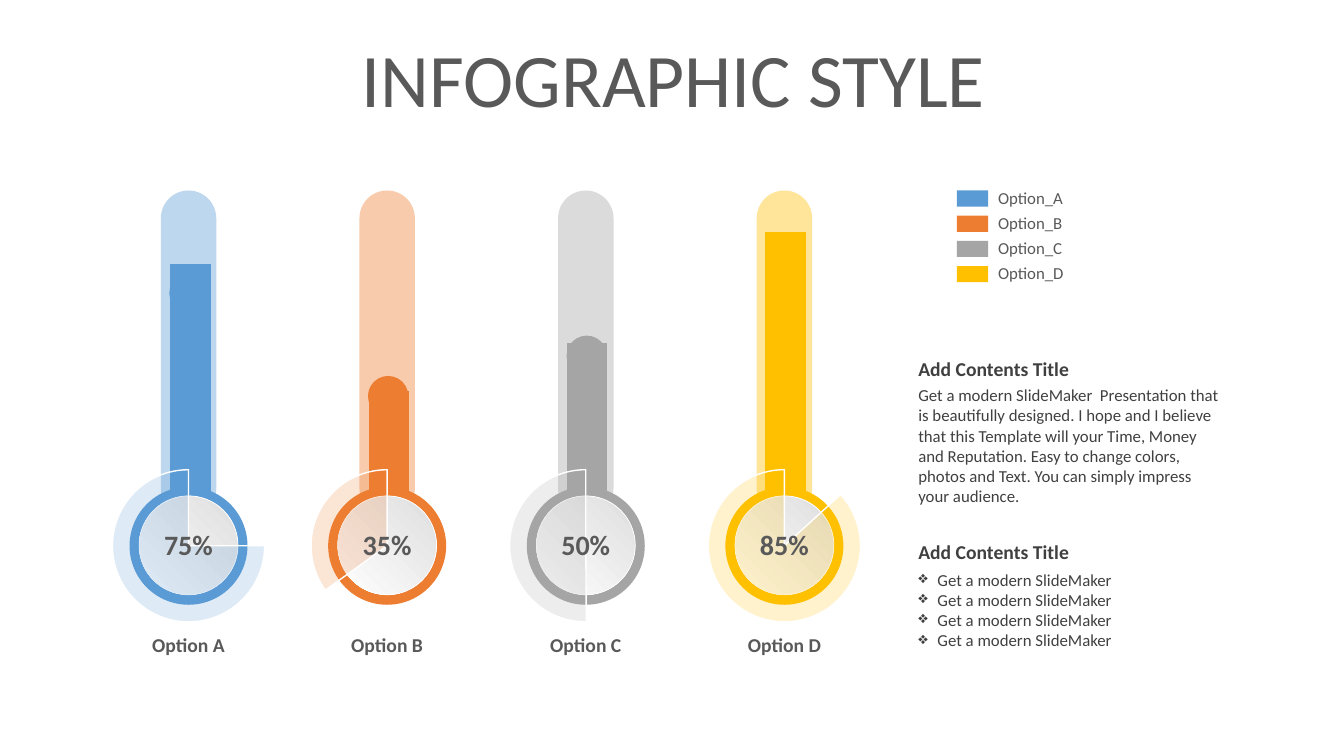
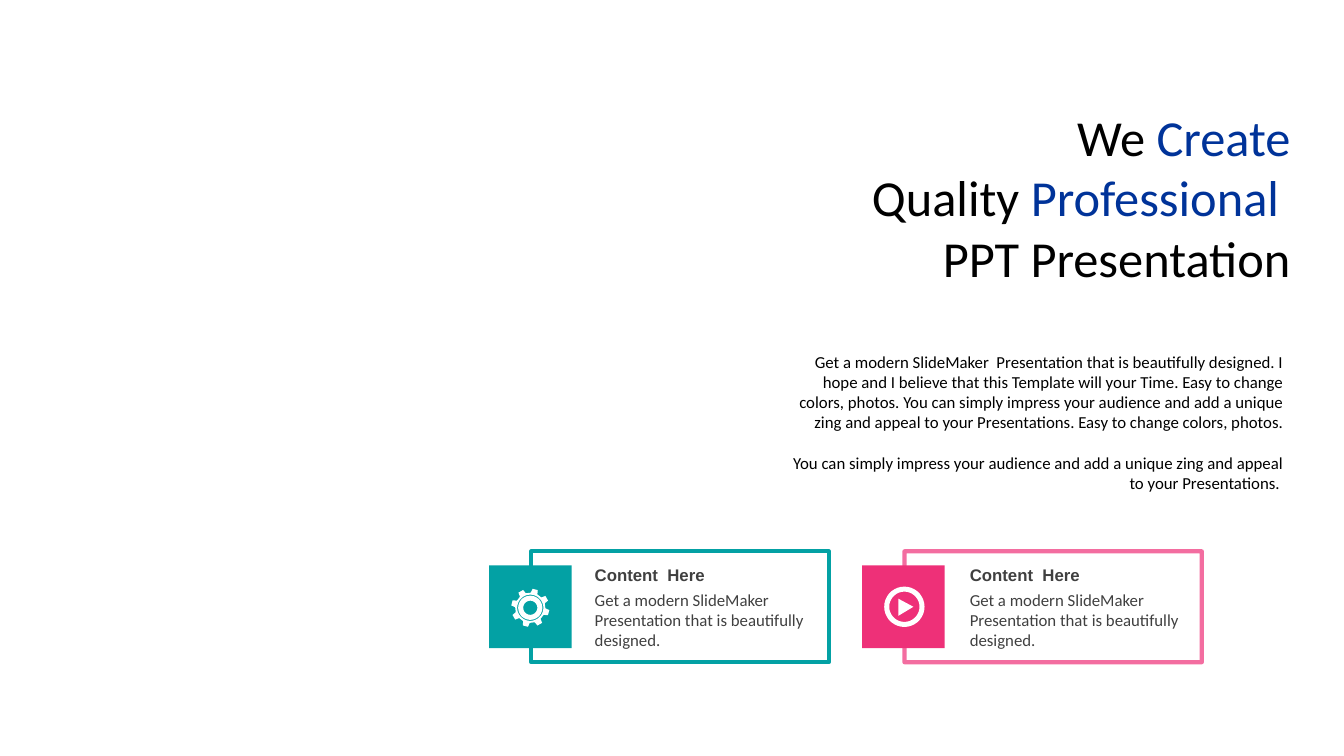
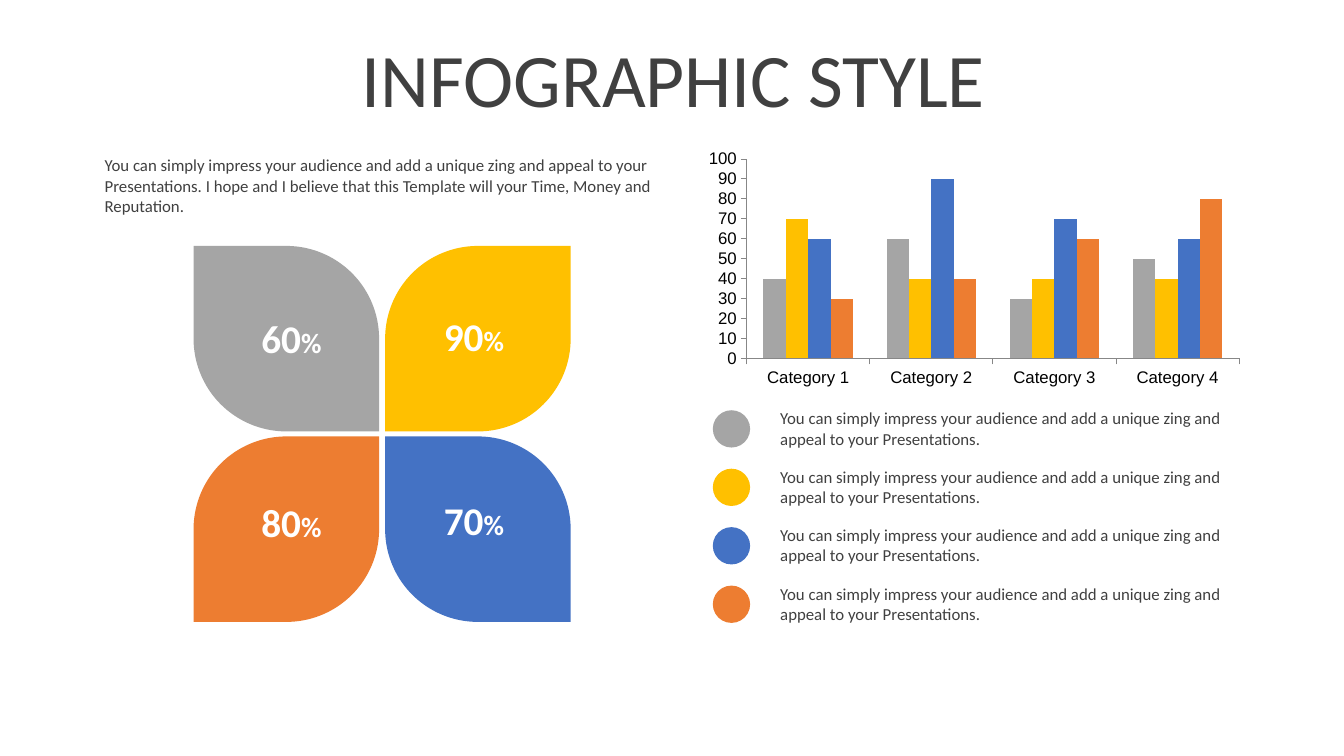
from dataclasses import dataclass
from math import cos, radians, sin
from typing import NamedTuple, Optional, Sequence, Union

from lxml.etree import SubElement
from pptx import Presentation
from pptx.chart.chart import Chart
from pptx.chart.data import CategoryChartData
from pptx.dml.color import RGBColor
from pptx.enum.chart import XL_CHART_TYPE as ChartType, XL_TICK_MARK as TickMark
from pptx.enum.shapes import MSO_SHAPE as Preset
from pptx.enum.text import MSO_ANCHOR as Anchor, PP_ALIGN as Align
from pptx.oxml.ns import qn
from pptx.shapes.autoshape import Shape
from pptx.slide import Slide
from pptx.text.text import TextFrame
from pptx.util import Inches, Pt

# Shared look
WHITE = RGBColor(0xFF, 0xFF, 0xFF)
BLACK = RGBColor(0x00, 0x00, 0x00)
SILVER = RGBColor(0xDE, 0xDE, 0xDE)
AXIS_GRAY = RGBColor(0x87, 0x87, 0x87)
SLATE = RGBColor(0x59, 0x59, 0x59)
CHARCOAL = RGBColor(0x40, 0x40, 0x40)
SKY = RGBColor(0x5B, 0x9B, 0xD5)
ORANGE = RGBColor(0xED, 0x7D, 0x31)
GRAY = RGBColor(0xA5, 0xA5, 0xA5)
YELLOW = RGBColor(0xFF, 0xC0, 0x00)
BLUE = RGBColor(0x44, 0x72, 0xC4)
NAVY = RGBColor(0x00, 0x33, 0x99)
TEAL = RGBColor(0x03, 0xA1, 0xA4)
PINK = RGBColor(0xEE, 0x30, 0x78)
BODY_FONT = "Calibri"
LABEL_FONT = "Arial"

Point = tuple[float, float]


class Box(NamedTuple):
    left: float
    top: float
    width: float
    height: float

    def emu(self) -> tuple[int, ...]:
        return tuple(Inches(v) for v in self)


class Span(NamedTuple):
    text: str
    color: Optional[RGBColor] = None
    size: Optional[float] = None


def centred(x: float, top: float, width: float, height: float) -> Box:
    return Box(x - width / 2, top, width, height)


# Drawing helpers
def set_alpha(shape: Shape, percent: int) -> None:
    """Make the first colour of the shape (fill, or line if unfilled) translucent."""
    color = shape._element.spPr.find(".//" + qn("a:srgbClr"))
    SubElement(color, qn("a:alpha"), val=str(percent * 1000))


def add_preset(slide: Slide, preset: Preset, box: Box, fill: Optional[RGBColor] = None,
               line: Optional[RGBColor] = None, line_width: float = 1,
               alpha: Optional[int] = None, adjust: Sequence[float] = ()) -> Shape:
    shape = slide.shapes.add_shape(preset, *box.emu())
    shape.shadow.inherit = False
    for i, value in enumerate(adjust):
        shape.adjustments[i] = value
    if fill is None:
        shape.fill.background()
    else:
        shape.fill.solid()
        shape.fill.fore_color.rgb = fill
    if line is None:
        shape.line.fill.background()
    else:
        shape.line.color.rgb = line
        shape.line.width = Pt(line_width)
    if alpha is not None:
        set_alpha(shape, alpha)
    return shape


def add_text(slide: Slide, box: Box, paragraphs: Sequence[Union[str, Sequence[Span]]],
             size: float = 12, color: Optional[RGBColor] = CHARCOAL, bold: bool = False,
             align: Align = Align.LEFT, anchor: Anchor = Anchor.TOP,
             font: str = BODY_FONT) -> TextFrame:
    frame = slide.shapes.add_textbox(*box.emu()).text_frame
    frame.word_wrap = True
    frame.vertical_anchor = anchor
    for i, content in enumerate(paragraphs):
        paragraph = frame.paragraphs[0] if i == 0 else frame.add_paragraph()
        paragraph.alignment = align
        paragraph.font.name = font
        paragraph.font.size = Pt(size)
        paragraph.font.bold = bold
        if color is not None:
            paragraph.font.color.rgb = color
        for span in [Span(content)] if isinstance(content, str) else content:
            run = paragraph.add_run()
            run.text = span.text
            if span.color is not None:
                run.font.color.rgb = span.color
            if span.size is not None:
                run.font.size = Pt(span.size)
    return frame


def add_title(slide: Slide, color: RGBColor) -> None:
    add_text(slide, Box(0.35, 0.37, 12.66, 0.79), ["INFOGRAPHIC STYLE"], 54, color,
             align=Align.CENTER, anchor=Anchor.MIDDLE)


def add_bullets(frame: TextFrame, char: str, indent: float) -> None:
    for paragraph in frame.paragraphs:
        props = paragraph._p.get_or_add_pPr()
        props.set("marL", str(Inches(indent)))
        props.set("indent", str(-Inches(indent)))
        bullet = props.makeelement(qn("a:buChar"), {"char": char})
        props.insert(0, bullet)


def add_columns(slide: Slide, box: Box, kind: ChartType, categories: Sequence[str],
                series: Sequence[Sequence[float]], colors: Sequence[RGBColor],
                gap: int, overlap: int, maximum: float) -> Chart:
    data = CategoryChartData()
    data.categories = categories
    for i, values in enumerate(series, 1):
        data.add_series(f"Series {i}", values)
    chart = slide.shapes.add_chart(kind, *box.emu(), data).chart
    chart.has_title = chart.has_legend = False
    chart.font.name, chart.font.size = BODY_FONT, Pt(18)
    chart.font.color.rgb = BLACK
    plot = chart.plots[0]
    plot.gap_width, plot.overlap, plot.vary_by_categories = gap, overlap, False
    for column, color in zip(plot.series, colors):
        column.format.fill.solid()
        column.format.fill.fore_color.rgb = color
    values_axis = chart.value_axis
    values_axis.has_major_gridlines = False
    values_axis.minimum_scale, values_axis.maximum_scale = 0, maximum
    return chart


# Icons
def circle(centre: Point, radius: float, steps: int = 36) -> list[Point]:
    return [polar(centre, radius, 360 * i / steps) for i in range(steps)]


def polar(centre: Point, radius: float, degrees: float) -> Point:
    angle = radians(degrees)
    return centre[0] + radius * cos(angle), centre[1] + radius * sin(angle)


def gear_icon(centre: Point) -> list[list[Point]]:
    tooth = ((-13, 0.15), (-8, 0.19), (8, 0.19), (13, 0.15))
    outline = [polar(centre, radius, -75 + 45 * i + offset)
               for i in range(8) for offset, radius in tooth]
    return [outline] + [circle(centre, r) for r in (0.13, 0.12, 0.07)]


def play_icon(centre: Point) -> list[list[Point]]:
    x, y = centre
    triangle = [(x - 0.06, y - 0.08), (x + 0.09, y), (x - 0.06, y + 0.09)]
    return [circle(centre, 0.2), circle(centre, 0.15), triangle]


def add_icon(slide: Slide, contours: Sequence[Sequence[Point]]) -> None:
    outlines = [[(Inches(x), Inches(y)) for x, y in contour] for contour in contours]
    builder = slide.shapes.build_freeform(*outlines[0][0])
    for i, (start, *rest) in enumerate(outlines):
        if i:
            builder.move_to(*start)
        builder.add_line_segments(rest, close=True)
    icon = builder.convert_to_shape()
    icon.shadow.inherit = False
    icon.fill.solid()
    icon.fill.fore_color.rgb = WHITE
    icon.line.fill.background()


# Slide 1: thermometers
@dataclass(frozen=True)
class Gauge:
    letter: str
    color: RGBColor
    level: int
    percent: str
    tip_top: float
    sector_start: float


GAUGES = (
    Gauge("A", SKY, 88, "75%", 2.71, 0),
    Gauge("B", ORANGE, 41, "35%", 3.73, 144.35),
    Gauge("C", GRAY, 59, "50%", 3.33, 89.6),
    Gauge("D", YELLOW, 100, "85%", 2.46, 317.65),
)


def add_dial(slide: Slide, gauge: Gauge, x: float) -> None:
    add_preset(slide, Preset.OVAL, centred(x, 4.83, 1.17, 1.17), gauge.color)
    face = add_preset(slide, Preset.OVAL, centred(x, 4.92, 0.98, 0.98), WHITE, WHITE, 0.5)
    face.fill.gradient()
    face.fill.gradient_angle = 225
    for stop, color in zip(face.fill.gradient_stops, (SILVER, WHITE)):
        stop.color.rgb = color
    # One adjustment unit is 100000/60000 of a degree
    add_preset(slide, Preset.PIE, centred(x, 4.66, 1.51, 1.51), gauge.color, WHITE, 1, 20,
               (gauge.sector_start * 0.6, 270 * 0.6))
    for top, width, height, label, size in ((5.18, 1.17, 0.44, gauge.percent, 20),
                                            (6.23, 1.34, 0.34, f"Option {gauge.letter}", 14)):
        add_text(slide, centred(x, top, width, height), [label], size, SLATE, True,
                 Align.CENTER)
    add_preset(slide, Preset.OVAL, centred(x + 0.01, gauge.tip_top, 0.4, 0.4), gauge.color)


def build_thermometers(slide: Slide) -> None:
    add_title(slide, SLATE)
    centres = [1.87 + 1.97 * i for i in range(len(GAUGES))]
    for gauge, x in zip(GAUGES, centres):
        add_preset(slide, Preset.ROUNDED_RECTANGLE, centred(x, 1.89, 0.55, 3.23),
                   gauge.color, alpha=40, adjust=(0.5,))

    # Mercury levels
    chart = add_columns(slide, Box(0.74, 2.08, 8.2, 2.96), ChartType.COLUMN_STACKED,
                        [str(i) for i in range(1, 5)], [[g.level for g in GAUGES]],
                        [SKY], 392, 100, 106)
    chart.category_axis.visible = chart.value_axis.visible = False
    for i, gauge in enumerate(GAUGES):
        fill = chart.plots[0].series[0].points[i].format.fill
        fill.solid()
        fill.fore_color.rgb = gauge.color

    for i, (gauge, x) in enumerate(zip(GAUGES, centres)):
        add_dial(slide, gauge, x)
        # Legend row
        top = 1.81 + 0.25 * i
        add_preset(slide, Preset.RECTANGLE, Box(9.49, top + 0.08, 0.31, 0.16), gauge.color)
        add_text(slide, Box(9.8, top, 1.11, 0.3), [f"Option_{gauge.letter}"], color=SLATE)

    # Side notes
    for top in (3.49, 5.31):
        add_text(slide, Box(9.01, top, 3.23, 0.34), ["Add Contents Title"], 14, bold=True)
    add_text(slide, Box(9.01, 3.77, 3.23, 1.31), [
        "Get a modern SlideMaker  Presentation that is beautifully designed. I hope and I "
        "believe that this Template will your Time, Money and Reputation. Easy to change "
        "colors, photos and Text. You can simply impress your audience."])
    points = add_text(slide, Box(9.01, 5.6, 3.23, 0.91), ["Get a modern SlideMaker"] * 4)
    add_bullets(points, "❖", 0.19)


# Slide 2: statement and cards
@dataclass(frozen=True)
class Card:
    left: float
    text_left: float
    color: RGBColor
    frame_alpha: int
    contours: list[list[Point]]


CARDS = (
    Card(4.85, 5.8, TEAL, 100, gear_icon((5.26, 6.03))),
    Card(8.55, 9.52, PINK, 70, play_icon((8.97, 6.02))),
)


def add_card(slide: Slide, card: Card) -> None:
    add_preset(slide, Preset.RECTANGLE, Box(card.left + 0.42, 5.47, 2.95, 1.1),
               line=card.color, line_width=3, alpha=card.frame_alpha)
    add_preset(slide, Preset.RECTANGLE, Box(card.left, 5.61, 0.82, 0.82), card.color)
    add_text(slide, Box(card.text_left, 5.55, 2.29, 0.3), ["Content  Here"], bold=True,
             anchor=Anchor.MIDDLE, font=LABEL_FONT)
    add_text(slide, Box(card.text_left, 5.8, 2.29, 0.71),
             ["Get a modern SlideMaker  Presentation that is beautifully designed."])
    add_icon(slide, card.contours)


def build_statement(slide: Slide) -> None:
    for card in CARDS:
        add_card(slide, card)
    headline = add_text(slide, Box(8.37, 1.04, 4.47, 1.82), [
        [Span("We ", BLACK), Span("Create", NAVY)],
        [Span("Quality ", BLACK), Span("Professional ", NAVY)],
        [Span("PPT Presentation", BLACK)],
    ], 36, None, align=Align.RIGHT, anchor=Anchor.MIDDLE)
    headline.margin_left = headline.margin_right = Inches(0.04)
    headline.margin_top = headline.margin_bottom = 0
    body = add_text(slide, Box(7.6, 3.44, 5.23, 1.72), [
        "Get a modern SlideMaker  Presentation that is beautifully designed. I hope and I "
        "believe that this Template will your Time. Easy to change colors, photos. You can "
        "simply impress your audience and add a unique zing and appeal to your "
        "Presentations. Easy to change colors, photos.",
        "You can simply impress your audience and add a unique zing and appeal to your "
        "Presentations. ",
    ], color=BLACK, align=Align.RIGHT)
    body.paragraphs[1].space_before = Pt(14.6)


# Slide 3: petals and columns
@dataclass(frozen=True)
class Petal:
    number: str
    color: RGBColor
    row: int
    column: int
    values: tuple[int, ...]


PETALS = (
    Petal("60", GRAY, 0, 0, (40, 60, 30, 50)),
    Petal("90", YELLOW, 0, 1, (70, 40, 40, 40)),
    Petal("70", BLUE, 1, 1, (60, 90, 70, 60)),
    Petal("80", ORANGE, 1, 0, (30, 40, 60, 80)),
)
PITCH = "You can simply impress your audience and add a unique zing and appeal to your Presentations."


def add_petal(slide: Slide, petal: Petal) -> None:
    row, column = petal.row, petal.column
    rounding = (0, 0.5) if row == column else (0.5, 0)
    add_preset(slide, Preset.ROUND_2_DIAG_RECTANGLE,
               Box(1.92 + 1.9 * column, 2.44 + 1.89 * row, 1.84, 1.84),
               petal.color, adjust=rounding)
    add_text(slide, Box(2.38 + 1.81 * column, 3.07 + 1.82 * row - 0.02 * column, 1.02, 0.57),
             [[Span(petal.number, size=28), Span("%", size=20)]], 28, WHITE, True,
             Align.CENTER, Anchor.MIDDLE)


def build_petals(slide: Slide) -> None:
    add_title(slide, CHARCOAL)
    add_text(slide, Box(0.94, 1.49, 5.73, 0.71), [
        f"{PITCH} I hope and I believe that this Template will your Time, Money and "
        "Reputation."])
    chart = add_columns(slide, Box(6.92, 1.44, 5.48, 2.44), ChartType.COLUMN_CLUSTERED,
                        [f"Category {i}" for i in range(1, 5)],
                        [p.values for p in PETALS], [p.color for p in PETALS], 150, 0, 100)
    chart.value_axis.major_unit = 10
    for axis in (chart.category_axis, chart.value_axis):
        axis.major_tick_mark = TickMark.OUTSIDE
        axis.format.line.color.rgb = AXIS_GRAY
        font = axis.tick_labels.font
        font.name, font.size = LABEL_FONT, Pt(12)
        font.color.rgb = BLACK
    for i, petal in enumerate(PETALS):
        add_petal(slide, petal)
        # Key row
        top = 4 + 0.58 * i
        add_preset(slide, Preset.OVAL, Box(7.07, top + 0.07, 0.37, 0.37), petal.color)
        add_text(slide, Box(7.64, top, 4.79, 0.5), [PITCH])


def main() -> None:
    deck = Presentation()
    deck.slide_width, deck.slide_height = Inches(13.33), Inches(7.5)
    for build in (build_thermometers, build_statement, build_petals):
        build(deck.slides.add_slide(deck.slide_layouts[6]))
    deck.save("out.pptx")


if __name__ == "__main__":
    main()
